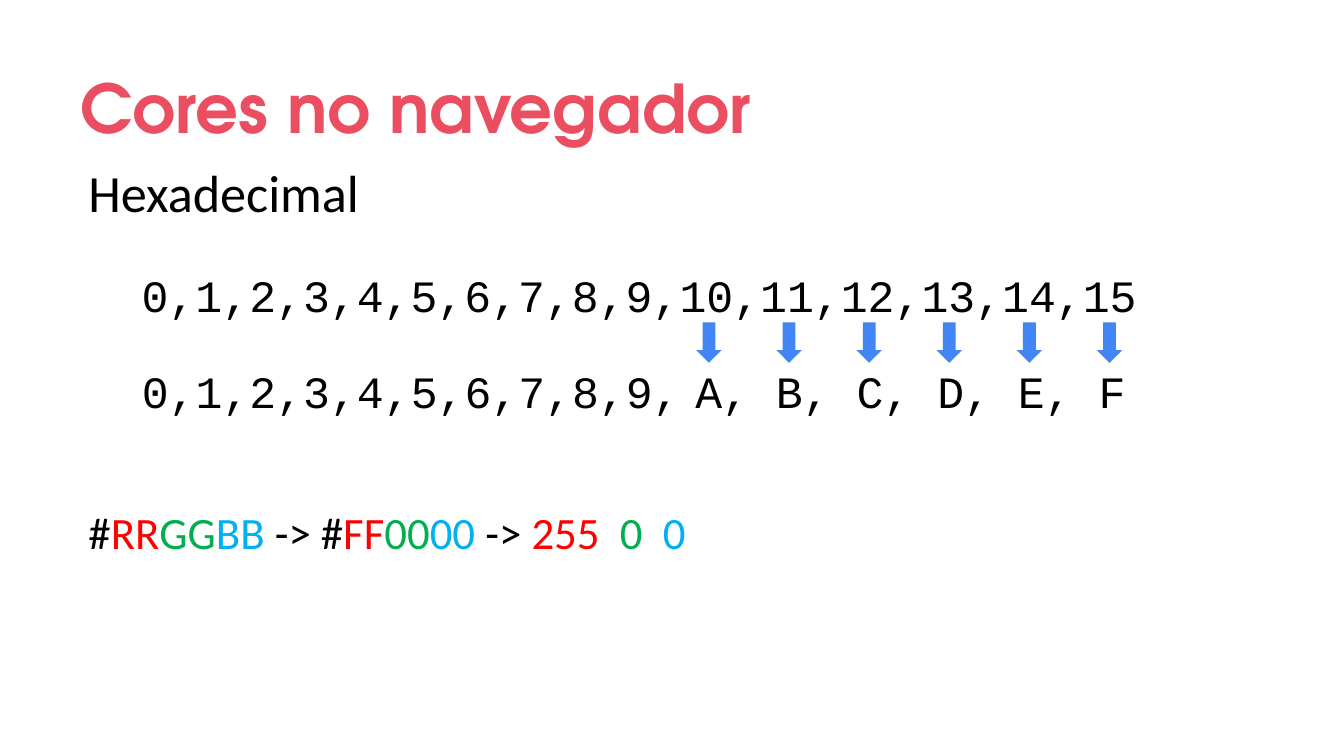
from pptx import Presentation
from pptx.dml.color import RGBColor
from pptx.enum.shapes import MSO_SHAPE
from pptx.enum.text import MSO_ANCHOR, MSO_AUTO_SIZE, PP_ALIGN
from pptx.util import Inches, Pt

DOWN_ARROW = MSO_SHAPE.DOWN_ARROW
LEFT, CENTER = PP_ALIGN.LEFT, PP_ALIGN.CENTER
TOP, MIDDLE = MSO_ANCHOR.TOP, MSO_ANCHOR.MIDDLE
GROW, FIXED = MSO_AUTO_SIZE.SHAPE_TO_FIT_TEXT, MSO_AUTO_SIZE.NONE

PINK = RGBColor(0xEA, 0x4E, 0x60)
BLACK = RGBColor(0x00, 0x00, 0x00)
RED = RGBColor(0xFF, 0x00, 0x00)
GREEN = RGBColor(0x00, 0xB0, 0x50)
BLUE = RGBColor(0x00, 0xB0, 0xF0)
ARROW_BLUE = RGBColor(0x42, 0x85, 0xF4)

TITLE_FONT, BODY_FONT, CODE_FONT = "TeX Gyre Adventor", "Calibri", "Courier New"

SLIDE_WIDTH = 10
SLIDE_HEIGHT = SLIDE_WIDTH * 9 / 16
MARGIN = 0.56
ROW_WIDTH, ROW_HEIGHT = 8.67, 0.5

# One arrow per hexadecimal letter, A to F
ARROW_COUNT = 6
FIRST_ARROW_LEFT, LAST_ARROW_LEFT, ARROW_TOP = 5.18, 8.16, 2.4
ARROW_STEP = (LAST_ARROW_LEFT - FIRST_ARROW_LEFT) / (ARROW_COUNT - 1)
ARROW_WIDTH, ARROW_HEIGHT = 0.19, 0.3


def add_text(slide, box, text, font_name, size, color=BLACK, align=LEFT,
             anchor=TOP, auto_size=GROW):
    """Add a one-paragraph text box and return its paragraph."""
    shape = slide.shapes.add_textbox(*map(Inches, box))
    frame = shape.text_frame
    frame.word_wrap = True
    frame.auto_size = auto_size
    frame.vertical_anchor = anchor
    paragraph = frame.paragraphs[0]
    paragraph.alignment = align
    paragraph.font.name = font_name
    paragraph.font.size = Pt(size)
    paragraph.font.color.rgb = color
    if text:
        add_run(paragraph, text)
    return paragraph


def add_run(paragraph, text, color=None, size=None):
    """Add a run, setting only what differs from its paragraph."""
    run = paragraph.add_run()
    run.text = text
    if color is not None:
        run.font.color.rgb = color
    if size is not None:
        run.font.size = Pt(size)


def add_down_arrow(slide, left, top):
    box = (left, top, ARROW_WIDTH, ARROW_HEIGHT)
    shape = slide.shapes.add_shape(DOWN_ARROW, *map(Inches, box))
    shape.shadow.inherit = False
    shape.fill.solid()
    shape.fill.fore_color.rgb = ARROW_BLUE
    shape.line.fill.background()


def main():
    presentation = Presentation()
    presentation.slide_width = Inches(SLIDE_WIDTH)
    presentation.slide_height = Inches(SLIDE_HEIGHT)
    slide = presentation.slides.add_slide(presentation.slide_layouts[6])

    # Headings
    title = add_text(slide, (0.5, 0.29, 8.77, 0.92), "Cores no navegador",
                     TITLE_FONT, 36, PINK, anchor=MIDDLE, auto_size=FIXED)
    title.font.bold = True
    title.line_spacing = 1.15
    add_text(slide, (MARGIN, 1.14, 8.53, 0.57), "Hexadecimal", BODY_FONT, 28)

    # Decimal values above their hexadecimal digits
    decimal_digits = ",".join(str(value) for value in range(16))
    add_text(slide, (0.42, 1.94, ROW_WIDTH, ROW_HEIGHT), decimal_digits,
             CODE_FONT, 24, align=CENTER)
    hexadecimal = add_text(slide, (0.38, 2.66, ROW_WIDTH, ROW_HEIGHT),
                           "0,1,2,3,4,5,6,7,8,9,", CODE_FONT, 24, align=CENTER)
    add_run(hexadecimal, " ", size=14)
    add_run(hexadecimal, "A, B, C, D, E, F")

    for index in range(ARROW_COUNT):
        add_down_arrow(slide, FIRST_ARROW_LEFT + index * ARROW_STEP, ARROW_TOP)

    # Colour code broken into its channels
    color_code = add_text(slide, (MARGIN, 3.71, 7.15, ROW_HEIGHT), "", BODY_FONT, 24)
    parts = [("#", "RR", "GG", "BB"), (" -> #", "FF", "00", "00"),
             (" -> ", "255  ", "0  ", "0")]
    for part in parts:
        for text, color in zip(part, (BLACK, RED, GREEN, BLUE)):
            add_run(color_code, text, color)

    presentation.save("out.pptx")


if __name__ == "__main__":
    main()
